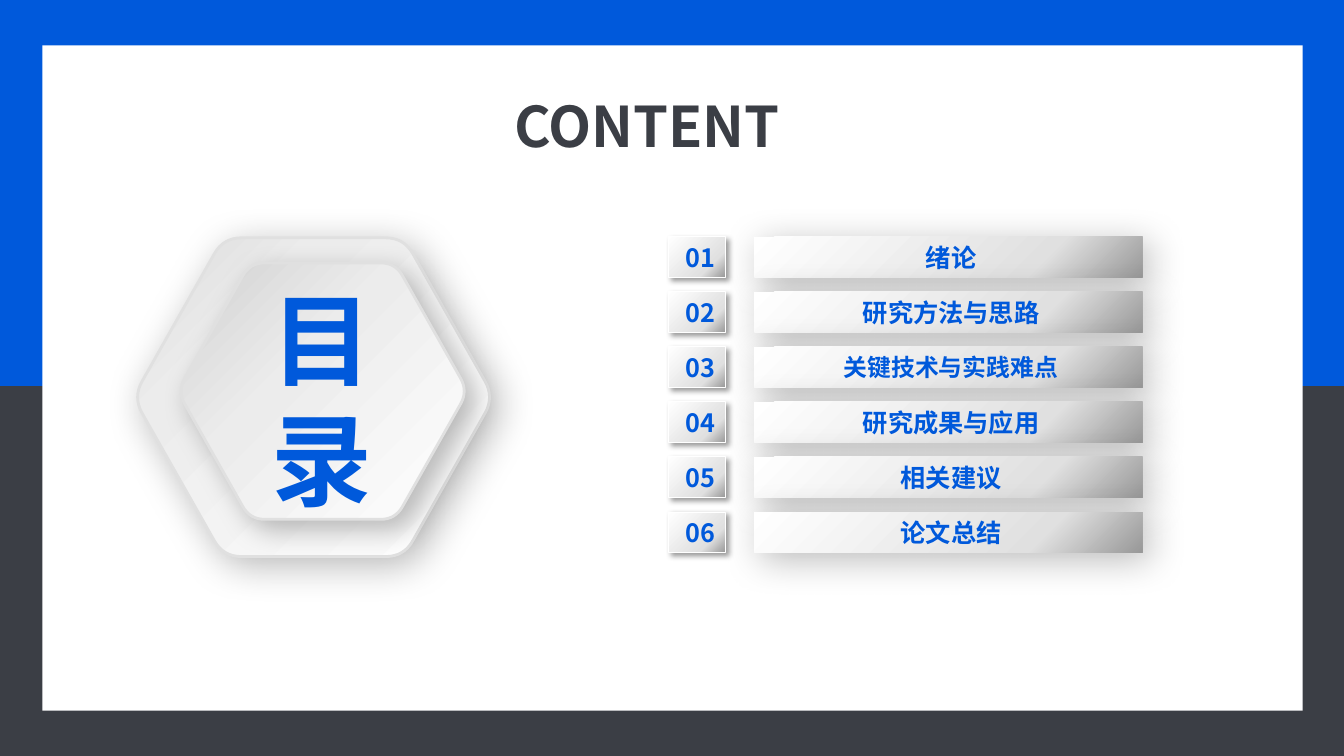
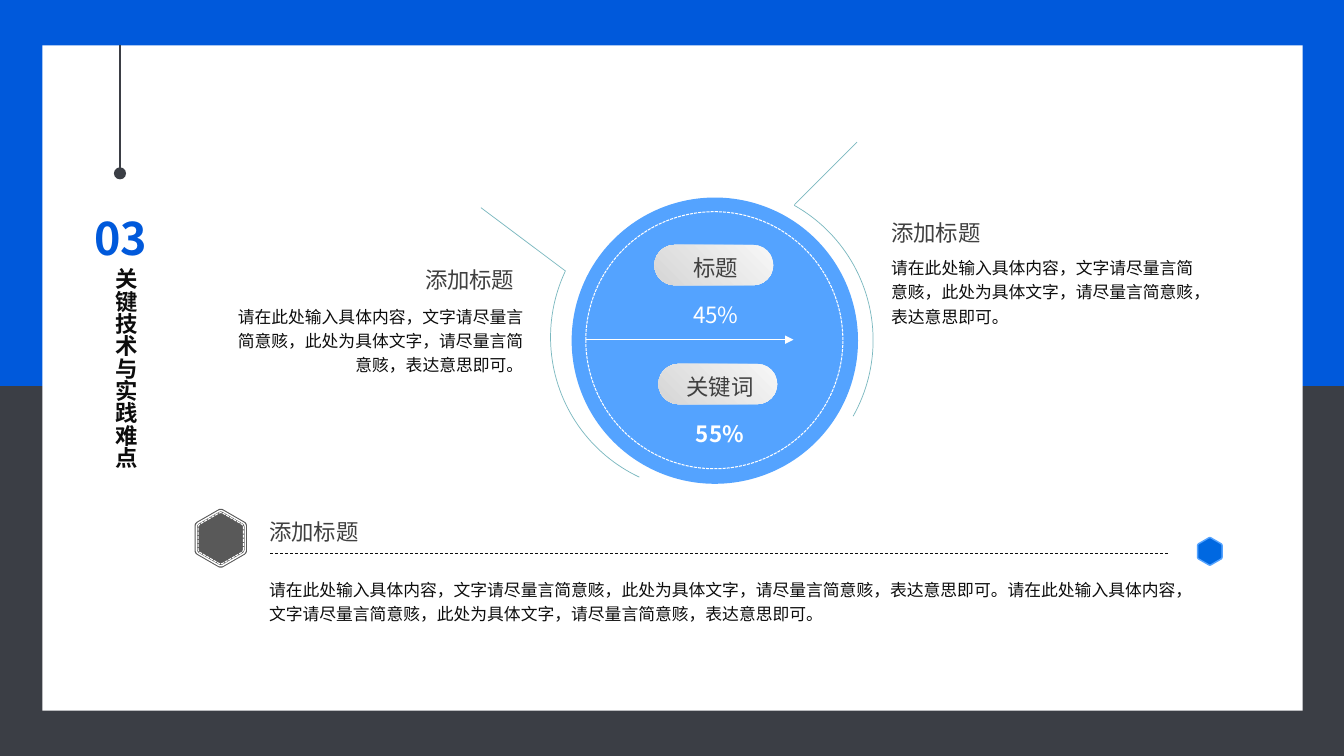
from math import cos, radians, sin

from lxml import etree
from pptx import Presentation
from pptx.dml.color import RGBColor
from pptx.enum import dml, shapes, text
from pptx.oxml import ns
from pptx.util import Inches, Pt

BLUE = RGBColor(0x00, 0x59, 0xDB)
BRIGHT = RGBColor(0x00, 0x68, 0xE1)
SKY = RGBColor(0x54, 0xA3, 0xFF)
TEAL = RGBColor(0x7A, 0xB8, 0xBF)
SLATE = RGBColor(0x3B, 0x3E, 0x45)
GREY = RGBColor(0x59, 0x59, 0x59)
HEADING = RGBColor(0x40, 0x40, 0x40)
INK = RGBColor(0x0D, 0x0D, 0x0D)
WHITE = RGBColor(0xFF, 0xFF, 0xFF)
SILVER = RGBColor(0xE0, 0xE0, 0xE0)
# Gradient stops: position in percent, colour
METAL = [(0, WHITE), (73, SILVER), (100, RGBColor(0x99, 0x99, 0x99))]
PLATE = [(0, WHITE), (73, RGBColor(0xEC, 0xEC, 0xEC)), (100, RGBColor(0xD9, 0xD9, 0xD9))]
INNER_PLATE = [(0, WHITE), (60, RGBColor(0xEC, 0xEC, 0xEC)), (100, RGBColor(0xD1, 0xD1, 0xD1))]
PILL = [(0, RGBColor(0xD6, 0xD6, 0xD6)), (100, RGBColor(0xF7, 0xF7, 0xF7))]

FONT = "Noto Sans CJK SC"
LEFT, CENTER, RIGHT = text.PP_ALIGN.LEFT, text.PP_ALIGN.CENTER, text.PP_ALIGN.RIGHT
JUSTIFY = text.PP_ALIGN.JUSTIFY
KIND = shapes.MSO_SHAPE
DASH = dml.MSO_LINE


def style(shape, fill=None, line=None, width=0.75, dash=None, shadow=None, radial=False):
    """Fill is a colour or gradient stops; shadow is (opacity %, blur pt, distance pt)."""
    if fill is None:
        shape.fill.background()
    elif isinstance(fill, RGBColor):
        shape.fill.solid()
        shape.fill.fore_color.rgb = fill
    else:
        shape.fill.gradient()
        gradient = shape._element.spPr.find(ns.qn("a:gradFill"))
        del gradient[:]
        stops = etree.SubElement(gradient, ns.qn("a:gsLst"))
        for position, color in fill:
            stop = etree.SubElement(stops, ns.qn("a:gs"), pos=str(position * 1000))
            etree.SubElement(stop, ns.qn("a:srgbClr"), val=str(color))
        if radial:
            circle = etree.SubElement(gradient, ns.qn("a:path"), path="circle")
            etree.SubElement(circle, ns.qn("a:fillToRect"), t="100000", r="100000")
        else:
            etree.SubElement(gradient, ns.qn("a:lin"), ang="2700000", scaled="0")
    if line is None:
        shape.line.fill.background()
    else:
        shape.line.color.rgb = line
        shape.line.width = Pt(width)
        if dash:
            shape.line.dash_style = dash
    shape.shadow.inherit = False
    if shadow:
        opacity, blur, distance = shadow
        effects = shape._element.spPr.find(ns.qn("a:effectLst"))
        outer = etree.SubElement(effects, ns.qn("a:outerShdw"), blurRad=str(Pt(blur)),
                                 dist=str(Pt(distance)), dir="2700000", algn="tl", rotWithShape="0")
        black = etree.SubElement(outer, ns.qn("a:srgbClr"), val="000000")
        etree.SubElement(black, ns.qn("a:alpha"), val=str(opacity * 1000))


def write(box, words, size, color, align=LEFT, bold=False, spacing=None, inset=(0.1, 0.05)):
    frame = box.text_frame
    frame.word_wrap = True
    frame.margin_left = frame.margin_right = Inches(inset[0])
    frame.margin_top = frame.margin_bottom = Inches(inset[1])
    para = frame.paragraphs[0]
    para.text = words
    para.alignment = align
    if spacing:
        para.line_spacing = spacing
    para.font.name = FONT
    para.font.size = Pt(size)
    para.font.bold = bold
    para.font.color.rgb = color
    defaults = para._p.pPr.find(ns.qn("a:defRPr"))
    etree.SubElement(defaults, ns.qn("a:ea"), typeface=FONT)


deck = Presentation()
deck.slide_width, deck.slide_height = Inches(13.33), Inches(7.5)
contents, detail = [deck.slides.add_slide(deck.slide_layouts[6]) for _ in range(2)]

# Frame shared by both slides
for page in (contents, detail):
    for left, top, width, height, color in [
        (0, 3.78, 13.33, 3.75, SLATE),
        (0, 0, 13.33, 3.83, BLUE),
        (0.42, 0.45, 12.5, 6.6, WHITE),
    ]:
        band = page.shapes.add_shape(KIND.RECTANGLE, Inches(left), Inches(top),
                                     Inches(width), Inches(height))
        style(band, color)

# Rounded hexagons: centre, radius, vertical stretch, first corner angle, corner cut, turn, look
for page, center_x, center_y, radius, stretch, start, cut, turn, look in [
    (contents, 3.11, 3.94, 1.79, 1.02, 0, 0.1, 180,
     dict(fill=PLATE, line=SILVER, width=2, shadow=(28, 28, 7))),
    (contents, 3.2, 3.88, 1.44, 1.02, 0, 0.1, 180,
     dict(fill=INNER_PLATE, line=SILVER, width=2, shadow=(25, 20, 9))),
    (detail, 2.19, 5.34, 0.3, 1, 30, 0.1, 0, dict(fill=GREY)),
    (detail, 2.19, 5.34, 0.28, 1, 30, 0.1, 0, dict(fill=GREY, line=WHITE, width=1)),
    (detail, 2.19, 5.34, 0.26, 1, 30, 0.1, 0,
     dict(fill=GREY, line=WHITE, dash=DASH.SQUARE_DOT)),
    (detail, 12, 5.47, 0.14, 1, 30, 0.1, 0, dict(fill=BRIGHT, line=SKY, width=1)),
]:
    corners = [(center_x + radius * cos(radians(start + 60 * i)),
                center_y + radius * stretch * sin(radians(start + 60 * i))) for i in range(6)]
    outline = []
    for i, corner in enumerate(corners):
        before, after = corners[i - 1], corners[(i + 1) % 6]
        for step in range(9):
            t = step / 8
            outline.append([
                Inches(c + cut * ((1 - t) ** 2 * (b - c) + t ** 2 * (a - c)))
                for b, c, a in zip(before, corner, after)])
    builder = page.shapes.build_freeform(*outline[0])
    builder.add_line_segments(outline[1:], close=True)
    hexagon = builder.convert_to_shape()
    hexagon.rotation = turn
    style(hexagon, **look)

# Contents: heading and the words on the hexagon
heading = contents.shapes.add_textbox(Inches(5), Inches(0.69), Inches(3.18), Inches(0.94))
write(heading, "CONTENT", 40, SLATE, JUSTIFY, True, Pt(60))
label = contents.shapes.add_textbox(Inches(2.59), Inches(2.62), Inches(0.69), Inches(2.52))
write(label, "目录", 72, BLUE, bold=True, spacing=Pt(86), inset=(0.1, 0.14))

# Contents: numbered chapters at equal steps
chapters = ["绪论", "研究方法与思路", "关键技术与实践难点", "研究成果与应用", "相关建议", "论文总结"]
first_top, last_top = 2.35, 5.08
for i, chapter in enumerate(chapters):
    top = first_top + i * (last_top - first_top) / (len(chapters) - 1)
    for words, left, width, size, look in [
        (chapter, 7.48, 3.85, 17 if len(chapter) > 8 else 18, dict(shadow=(28, 28, 7))),
        (f"{i + 1:02}", 6.63, 0.57, 18, dict(line=WHITE, shadow=(40, 4, 3))),
    ]:
        bar = contents.shapes.add_shape(KIND.RECTANGLE, Inches(left), Inches(top),
                                        Inches(width), Inches(0.4))
        style(bar, METAL, **look)
        write(bar, " " + words, size, BLUE, CENTER, True, inset=(0, 0))
        bar.text_frame.vertical_anchor = text.MSO_ANCHOR.MIDDLE

# Detail: disc with dashed ring, pin head and outer arcs
for kind, left, top, size, turn, look in [
    (KIND.OVAL, 5.67, 1.96, 2.84, 0, dict(fill=SKY)),
    (KIND.OVAL, 5.81, 2.1, 2.55, 0, dict(line=WHITE, dash=DASH.SQUARE_DOT)),
    (KIND.ARC, 5.59, 1.84, 3.07, 29.4, dict(line=TEAL, width=0.5)),
    (KIND.ARC, 5.46, 1.81, 3.07, 205.2, dict(line=TEAL, width=0.5)),
    (KIND.OVAL, 1.13, 1.66, 0.12, 0, dict(fill=SLATE)),
]:
    curve = detail.shapes.add_shape(kind, Inches(left), Inches(top), Inches(size), Inches(size))
    curve.rotation = turn
    style(curve, **look)

# Detail: pills with a share below each
for words, share, left, top, bold in [
    ("标题", "45%", 6.49, 2.43, False),
    ("关键词", "55%", 6.53, 3.61, True),
]:
    pill = detail.shapes.add_shape(KIND.ROUNDED_RECTANGLE, Inches(left), Inches(top),
                                   Inches(1.18), Inches(0.4))
    pill.adjustments[0] = 0.5
    style(pill, PILL, radial=True)
    for line_words, drop, color, heavy in [(words, 0.05, HEADING, False),
                                           (share, 0.52, WHITE, bold)]:
        box = detail.shapes.add_textbox(Inches(left + 0.04), Inches(top + drop),
                                        Inches(1.14), Inches(0.34))
        write(box, line_words, 16, color, CENTER, heavy, inset=(0.07, 0.04))

# Detail: titled notes
note = "请在此处输入具体内容，文字请尽量言简意赅，此处为具体文字，请尽量言简意赅，表达意思即可。"
for words, left, top, width, height, size, color, align, spacing, inset in [
    ("添加标题", 8.74, 2.12, 1.7, 0.37, 16, HEADING, LEFT, None, (0.1, 0.05)),
    (note, 8.74, 2.47, 3.32, 0.83, 12, INK, LEFT, 1.2, (0.1, 0.05)),
    ("添加标题", 2.59, 2.59, 2.61, 0.37, 16, HEADING, RIGHT, None, (0.1, 0.05)),
    (note, 2.13, 2.95, 3.16, 0.83, 12, INK, RIGHT, 1.2, (0.1, 0.05)),
    ("添加标题", 2.6, 5.1, 2.05, 0.34, 16, HEADING, LEFT, None, (0.07, 0.04)),
    (note * 2, 2.57, 5.66, 9.34, 0.59, 12, INK, LEFT, 1.2, (0.1, 0.05)),
]:
    box = detail.shapes.add_textbox(Inches(left), Inches(top), Inches(width), Inches(height))
    write(box, words, size, color, align, spacing=spacing, inset=inset)

# Detail: chapter number and upright chapter title
chapter_title = detail.shapes.add_textbox(Inches(0.96), Inches(2.56), Inches(0.47), Inches(2.99))
write(chapter_title, chapters[2], 16, INK, JUSTIFY, True)
chapter_title.text_frame._txBody.bodyPr.set("vert", "eaVert")
number = detail.shapes.add_textbox(Inches(0.75), Inches(1.74), Inches(0.9), Inches(0.94))
write(number, "03", 32, BLUE, CENTER, True, Pt(60))

# Detail: arrow, leaders, rule and pin
for x1, y1, x2, y2, color, width, dash, head in [
    (5.81, 3.37, 7.87, 3.37, WHITE, 0.5, None, True),
    (7.88, 2.03, 8.5, 1.41, TEAL, 0.5, None, False),
    (5.61, 2.69, 4.77, 2.06, TEAL, 0.5, None, False),
    (2.68, 5.49, 11.6, 5.49, INK, 0.5, DASH.DASH, False),
    (1.19, 0.45, 1.19, 1.69, SLATE, 2, None, False),
]:
    connector = detail.shapes.add_connector(shapes.MSO_CONNECTOR.STRAIGHT, Inches(x1),
                                            Inches(y1), Inches(x2), Inches(y2))
    connector.line.color.rgb = color
    connector.line.width = Pt(width)
    if dash:
        connector.line.dash_style = dash
    properties = connector._element.spPr
    if head:
        etree.SubElement(properties.find(ns.qn("a:ln")), ns.qn("a:tailEnd"), type="triangle")
    etree.SubElement(properties, ns.qn("a:effectLst"))

deck.save("out.pptx")
